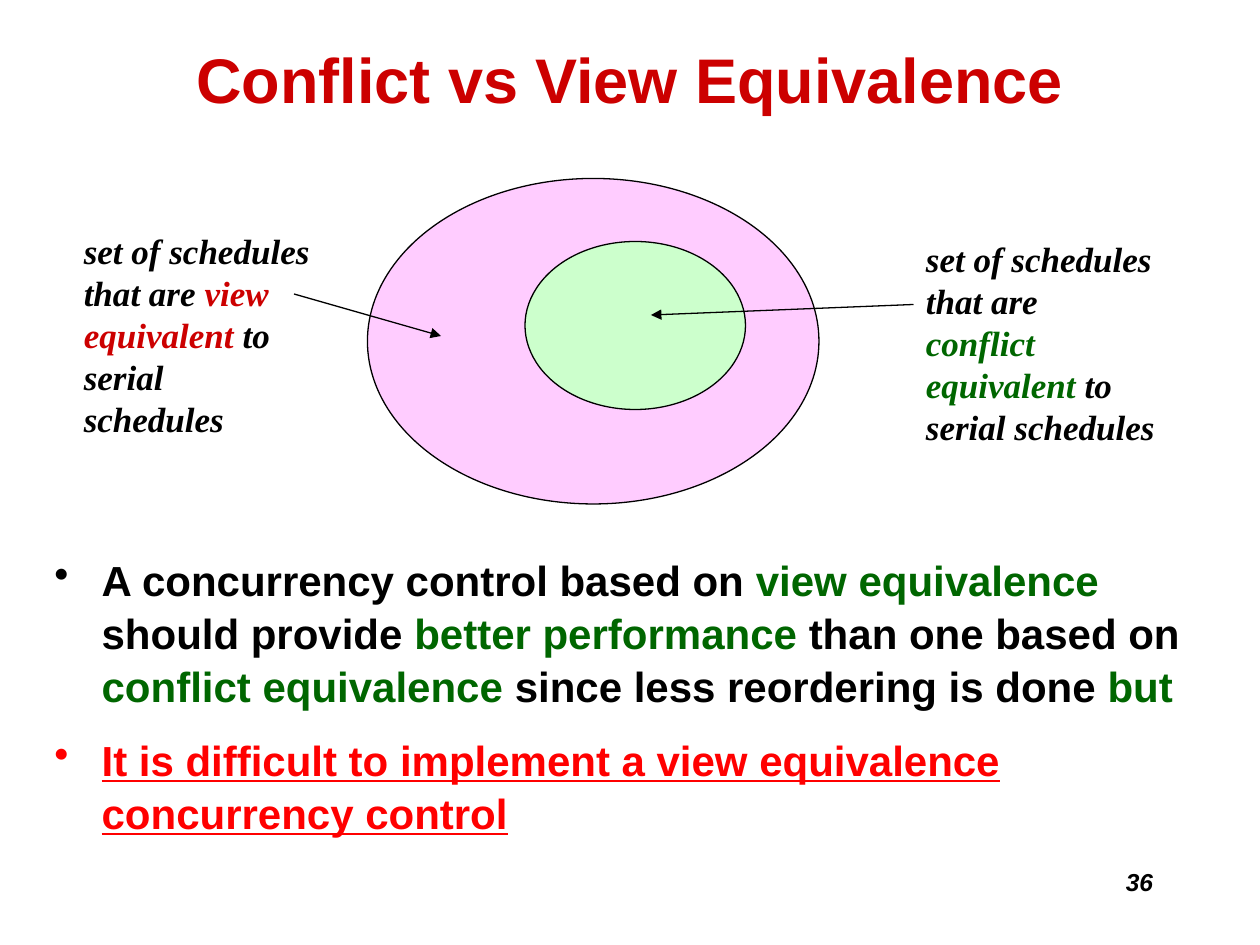
from dataclasses import dataclass

from lxml import etree
from pptx import Presentation
from pptx.dml.color import RGBColor
from pptx.enum import shapes, text
from pptx.oxml import ns
from pptx.util import Pt


@dataclass(frozen=True)
class Theme:
    black: str = "000000"
    crimson: str = "CC0000"
    red: str = "FF0000"
    green: str = "006600"
    pink: str = "FFCCFF"
    mint: str = "CCFFCC"
    sans: str = "Arial"
    serif: str = "Times New Roman"
    title_size: int = 36
    body_size: int = 24
    label_size: int = 20
    number_size: int = 14
    outline: float = 0.75


THEME = Theme()


def place(shape, left, top, width, height):
    shape.left, shape.top = Pt(left), Pt(top)
    shape.width, shape.height = Pt(width), Pt(height)


def add_run(paragraph, words, size, color=THEME.black, face=THEME.sans,
            italic=False, underline=False):
    run = paragraph.add_run()
    run.text = words
    font = run.font
    font.name, font.size, font.bold = face, Pt(size), True
    font.italic, font.underline = italic, underline
    font.color.rgb = RGBColor.from_string(color)


def add_text_frame(slide, *box):
    frame = slide.shapes.add_textbox(*map(Pt, box)).text_frame
    frame.word_wrap = True
    return frame


def next_paragraph(frame, index):
    return frame.add_paragraph() if index else frame.paragraphs[0]


def add_title(slide, words):
    title = slide.shapes.title
    place(title, 54, 0, 612, 90)
    title.text_frame.vertical_anchor = text.MSO_ANCHOR.MIDDLE
    heading = title.text_frame.paragraphs[0]
    heading.alignment = text.PP_ALIGN.CENTER
    add_run(heading, words, THEME.title_size, THEME.crimson)


def add_set(slide, box, color):
    ellipse = slide.shapes.add_shape(shapes.MSO_SHAPE.OVAL, *map(Pt, box))
    ellipse.shadow.inherit = False
    ellipse.fill.solid()
    ellipse.fill.fore_color.rgb = RGBColor.from_string(color)
    ellipse.line.color.rgb = RGBColor.from_string(THEME.black)
    ellipse.line.width = Pt(THEME.outline)


def add_set_label(slide, box, kind, color):
    lines = [
        [("set of schedules", THEME.black)],
        [("that are", THEME.black), (f" {kind}", color)],
        [("equivalent ", color), ("to", THEME.black)],
        [("serial schedules", THEME.black)],
    ]
    frame = add_text_frame(slide, *box)
    for index, line in enumerate(lines):
        paragraph = next_paragraph(frame, index)
        for words, ink in line:
            add_run(paragraph, words, THEME.label_size, ink, THEME.serif, italic=True)


def add_arrow(slide, start, end):
    arrow = slide.shapes.add_connector(
        shapes.MSO_CONNECTOR.STRAIGHT, *map(Pt, start + end))
    arrow.line.color.rgb = RGBColor.from_string(THEME.black)
    arrow.line.width = Pt(THEME.outline)
    etree.SubElement(arrow.line._get_or_add_ln(), ns.qn("a:tailEnd"), type="triangle")
    etree.SubElement(arrow._element.spPr, ns.qn("a:effectLst"))


def add_bullets(slide, box, points):
    frame = add_text_frame(slide, *box)
    for index, runs in enumerate(points):
        paragraph = next_paragraph(frame, index)
        properties = paragraph._p.get_or_add_pPr()
        properties.set("marL", str(Pt(27)))
        properties.set("indent", str(-Pt(27)))
        etree.SubElement(properties, ns.qn("a:buChar"), char="•")
        paragraph.line_spacing = 1.05
        if index:
            paragraph.space_before = Pt(THEME.body_size / 2)
        for words, color, underline in runs:
            add_run(paragraph, words, THEME.body_size, color, underline=underline)


def add_slide_number(slide, number):
    paragraph = add_text_frame(slide, 516, 492, 150, 36).paragraphs[0]
    paragraph.alignment = text.PP_ALIGN.RIGHT
    add_run(paragraph, number, THEME.number_size, italic=True)


def main():
    deck = Presentation()
    deck.slide_width, deck.slide_height = Pt(720), Pt(540)
    slide = deck.slides.add_slide(deck.slide_layouts[5])

    add_slide_number(slide, "36")
    add_title(slide, "Conflict vs View Equivalence")
    add_bullets(slide, (24, 312, 678, 168), [
        [
            ("A concurrency control based on", THEME.black, False),
            (" view equivalence ", THEME.green, False),
            ("should provide", THEME.black, False),
            (" better performance ", THEME.green, False),
            ("than one based on", THEME.black, False),
            (" conflict equivalence ", THEME.green, False),
            ("since less reordering is done", THEME.black, False),
            (" but", THEME.green, False),
        ],
        [("It is difficult to implement a view equivalence concurrency control",
          THEME.red, True)],
    ])
    add_set(slide, (210, 102, 258, 186), THEME.pink)
    add_set(slide, (300, 138, 126, 96), THEME.mint)
    add_set_label(slide, (40.8, 127.5, 144.7, 103), "view", THEME.crimson)
    add_set_label(slide, (522, 132, 145.4, 103), "conflict", THEME.green)
    add_arrow(slide, (168, 168), (252, 192))
    add_arrow(slide, (522, 174), (372, 180))

    deck.save("out.pptx")


if __name__ == "__main__":
    main()
